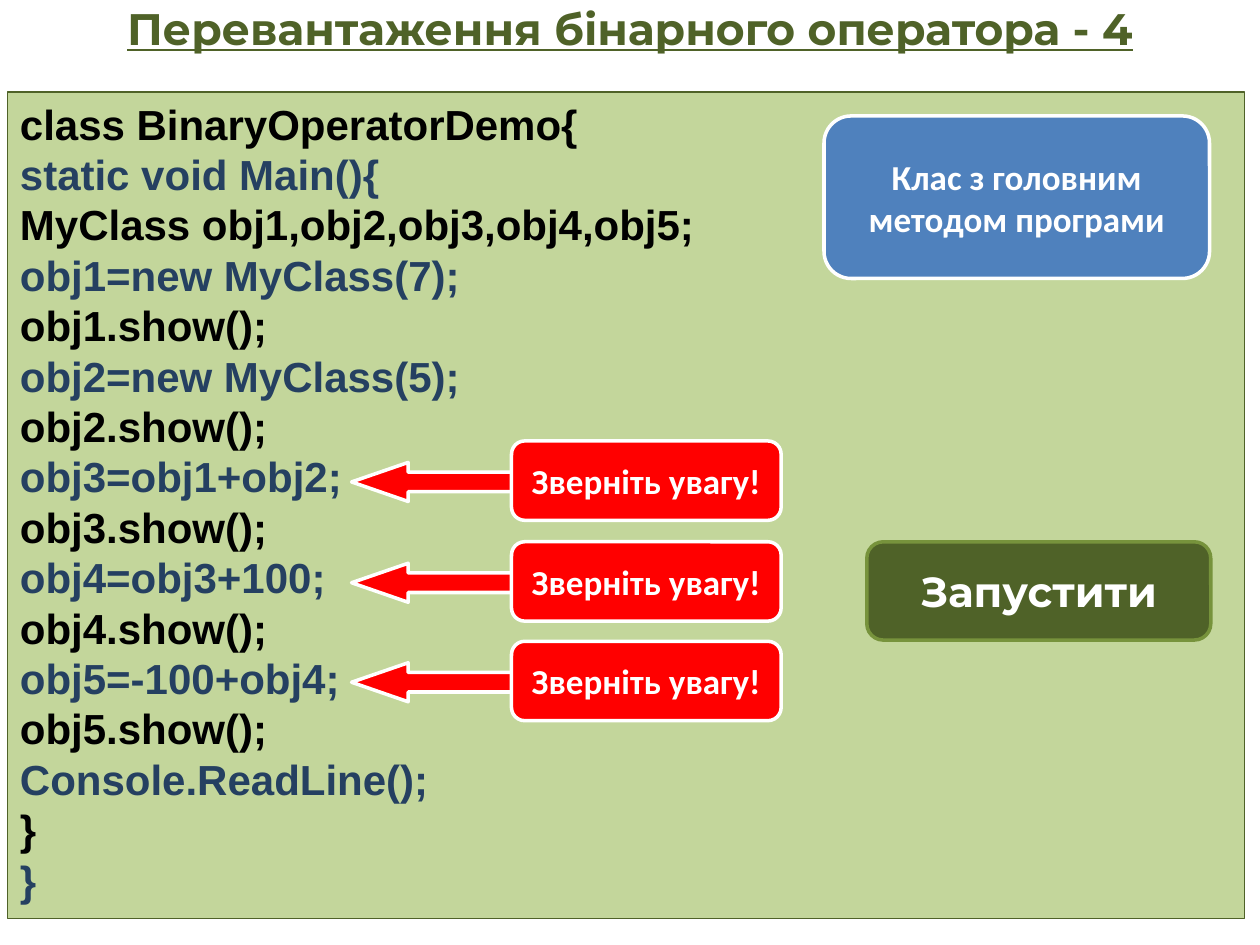
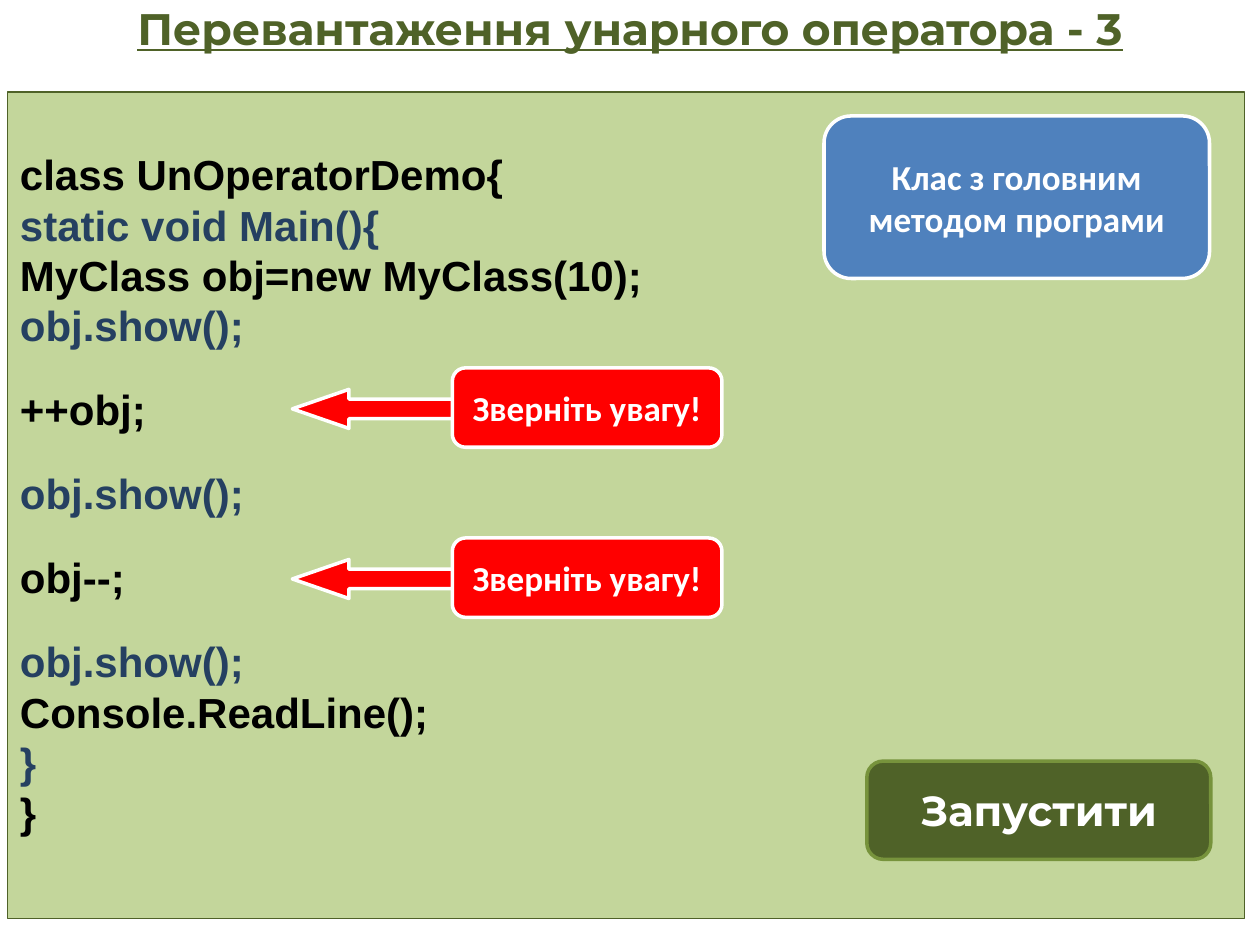
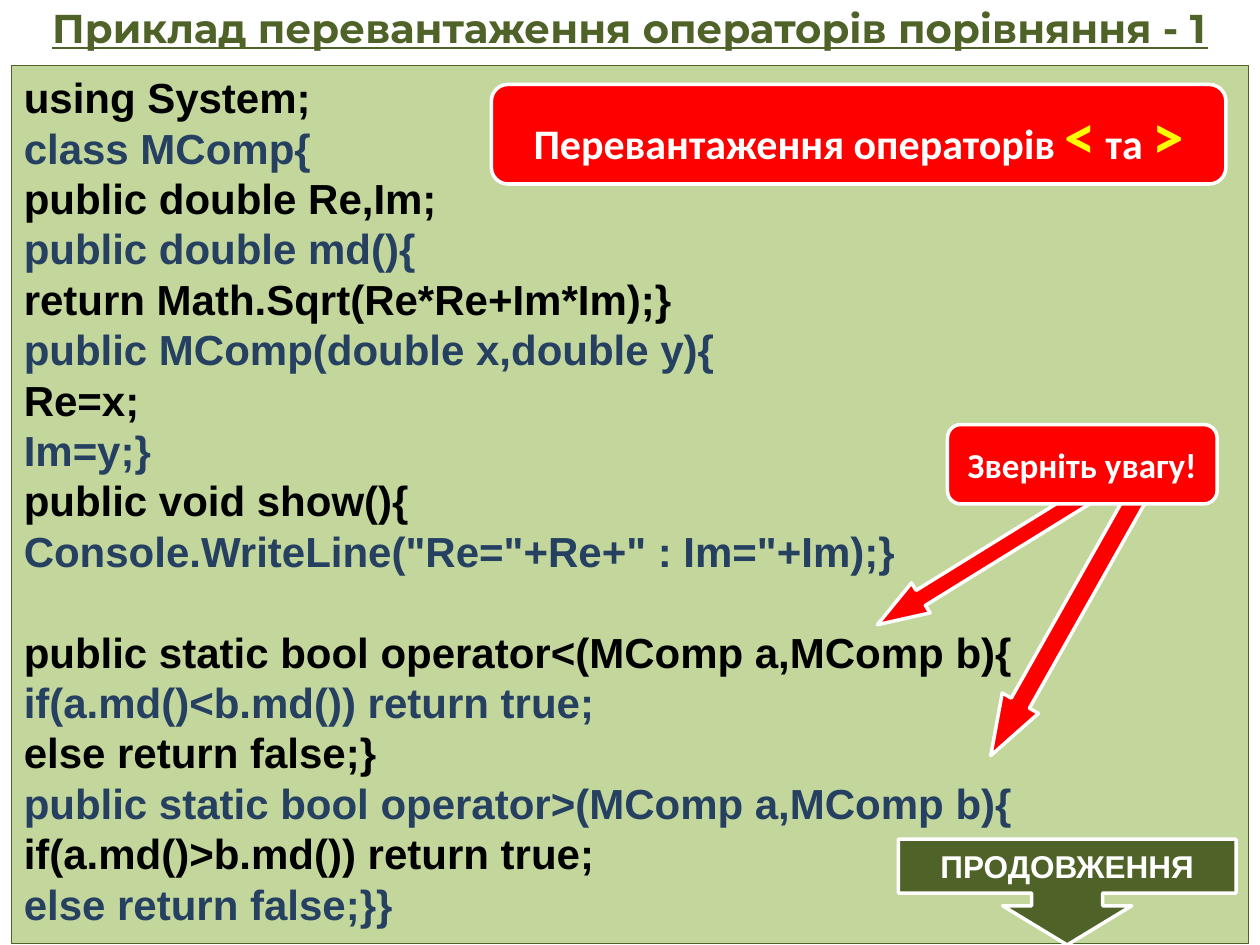
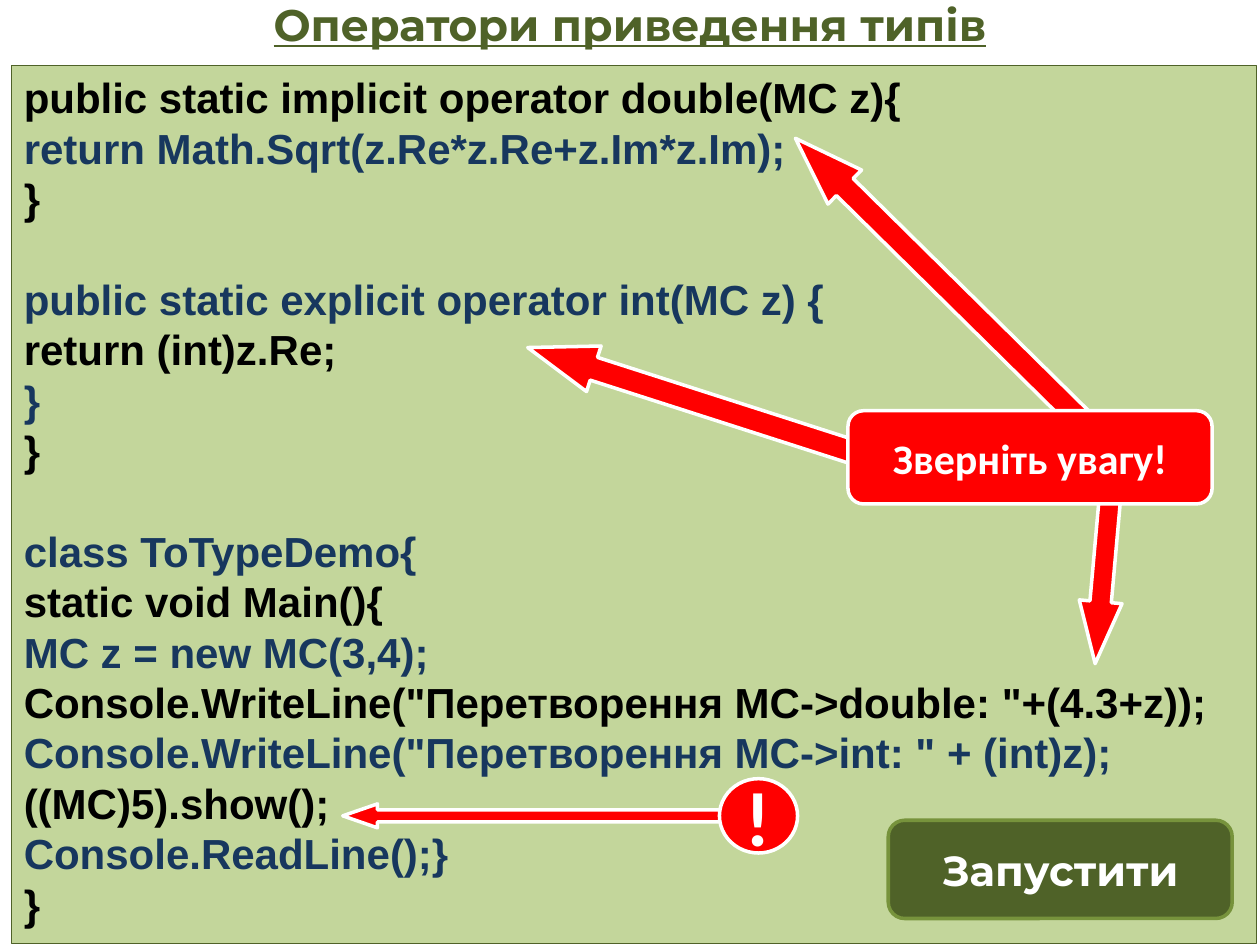
from dataclasses import dataclass

from pptx import Presentation
from pptx.dml.color import RGBColor
from pptx.enum.shapes import MSO_SHAPE
from pptx.enum.text import MSO_ANCHOR, MSO_AUTO_SIZE, PP_ALIGN
from pptx.shapes.autoshape import Shape
from pptx.slide import Slide
from pptx.util import Inches, Pt

COLORS = {
    "olive": "4F6228",
    "olive_line": "77933C",
    "panel": "C3D69B",
    "black": "000000",
    "navy": "254061",
    "deep_navy": "17375E",
    "blue": "4F81BD",
    "red": "FF0000",
    "yellow": "FFFF00",
    "white": "FFFFFF",
}
CODE_FONT, NOTE_FONT, HEADING_FONT = "Arial", "Calibri", "Montserrat"
ATTENTION = "Зверніть увагу!"
LINE_HEIGHT = 1.2


@dataclass(frozen=True)
class Box:
    left: float
    top: float
    width: float
    height: float


@dataclass(frozen=True)
class Label:
    """A filled shape with centred bold text."""
    box: Box
    text: str
    size: float = 20
    fill: str = "red"
    line: str = "white"
    font: str = NOTE_FONT
    kind: MSO_SHAPE = MSO_SHAPE.ROUNDED_RECTANGLE
    adjustments: tuple[float, ...] = ()


@dataclass(frozen=True)
class Arrow:
    box: Box
    rotation: float = 0


@dataclass(frozen=True)
class CodePanel:
    """Code lines in alternating colours; an empty line becomes a gap."""
    box: Box
    code: str
    accent: str = "navy"
    gap_size: float = 24
    top_margin: float = 0.05


# Program listings
BINARY_CODE = """class BinaryOperatorDemo{
static void Main(){
MyClass obj1,obj2,obj3,obj4,obj5;
obj1=new MyClass(7);
obj1.show();
obj2=new MyClass(5);
obj2.show();
obj3=obj1+obj2;
obj3.show();
obj4=obj3+100;
obj4.show();
obj5=-100+obj4;
obj5.show();
Console.ReadLine();
}
}"""

UNARY_CODE = """class UnOperatorDemo{
static void Main(){
MyClass obj=new MyClass(10);
obj.show();

++obj;

obj.show();

obj--;

obj.show();
Console.ReadLine();
}
}"""

COMPARISON_CODE = """using System;
class MComp{
public double Re,Im;
public double md(){
return Math.Sqrt(Re*Re+Im*Im);}
public MComp(double x,double y){
Re=x;
Im=y;}
public void show(){
Console.WriteLine("Re="+Re+" : Im="+Im);}

public static bool operator<(MComp a,MComp b){
if(a.md()<b.md()) return true;
else return false;}
public static bool operator>(MComp a,MComp b){
if(a.md()>b.md()) return true;
else return false;}}"""

CONVERSION_CODE = """public static implicit operator double(MC z){
return Math.Sqrt(z.Re*z.Re+z.Im*z.Im);
}

public static explicit operator int(MC z) {
return (int)z.Re;
}
}

class ToTypeDemo{
static void Main(){
MC z = new MC(3,4);
Console.WriteLine("Перетворення MC->double: "+(4.3+z));
Console.WriteLine("Перетворення MC->int: " + (int)z);
((MC)5).show();
Console.ReadLine();}
}"""


# Drawing helpers
def color(name: str) -> RGBColor:
    return RGBColor.from_string(COLORS[name])


def style_run(run, font: str, size: float, color_name: str) -> None:
    run.font.name = font
    run.font.size = Pt(size)
    run.font.bold = True
    run.font.color.rgb = color(color_name)


def add_filled_shape(slide: Slide, kind: MSO_SHAPE, box: Box, fill: str,
                     line: str, line_width: float = 2) -> Shape:
    shape = slide.shapes.add_shape(kind, Inches(box.left), Inches(box.top),
                                   Inches(box.width), Inches(box.height))
    shape.shadow.inherit = False
    shape.fill.solid()
    shape.fill.fore_color.rgb = color(fill)
    shape.line.color.rgb = color(line)
    shape.line.width = Pt(line_width)
    return shape


def add_title(slide: Slide, text: str, size: float = 25.2, top: float = 0) -> None:
    shape = slide.shapes.add_textbox(0, Inches(top), Inches(10), Inches(0.44))
    text_frame = shape.text_frame
    text_frame.word_wrap = True
    text_frame.vertical_anchor = MSO_ANCHOR.MIDDLE
    text_frame.text = text
    paragraph = text_frame.paragraphs[0]
    paragraph.alignment = PP_ALIGN.CENTER
    style_run(paragraph.runs[0], HEADING_FONT, size, "olive")
    paragraph.runs[0].font.underline = True


def add_code_panel(slide: Slide, panel: CodePanel) -> None:
    shape = add_filled_shape(slide, MSO_SHAPE.RECTANGLE, panel.box,
                             "panel", "olive", 0.75)
    text_frame = shape.text_frame
    text_frame.word_wrap = True
    text_frame.auto_size = MSO_AUTO_SIZE.SHAPE_TO_FIT_TEXT
    text_frame.vertical_anchor = MSO_ANCHOR.TOP
    text_frame.margin_top = Inches(panel.top_margin)

    lines = panel.code.split("\n")
    text_frame.text = "\n".join(line for line in lines if line)
    follows_gap = [not before for before, line in zip([lines[0]] + lines, lines)
                   if line]
    for index, paragraph in enumerate(text_frame.paragraphs):
        paragraph.alignment = PP_ALIGN.LEFT
        if follows_gap[index]:
            paragraph.space_before = Pt(panel.gap_size * LINE_HEIGHT)
        style_run(paragraph.runs[0], CODE_FONT, 24,
                  panel.accent if index % 2 else "black")


def add_label(slide: Slide, label: Label) -> Shape:
    shape = add_filled_shape(slide, label.kind, label.box, label.fill, label.line)
    for index, value in enumerate(label.adjustments):
        shape.adjustments[index] = value
    text_frame = shape.text_frame
    text_frame.word_wrap = True
    text_frame.vertical_anchor = MSO_ANCHOR.MIDDLE
    text_frame.text = label.text
    paragraph = text_frame.paragraphs[0]
    paragraph.alignment = PP_ALIGN.CENTER
    for run in paragraph.runs:
        style_run(run, label.font, label.size, "white")
    return shape


def add_arrow(slide: Slide, arrow: Arrow) -> None:
    shape = add_filled_shape(slide, MSO_SHAPE.LEFT_ARROW, arrow.box, "red", "white")
    shape.adjustments[0] = 0.5
    shape.adjustments[1] = 1.45
    shape.rotation = arrow.rotation


def add_run_button(slide: Slide, left: float, top: float) -> None:
    add_label(slide, Label(Box(left, top, 2.73, 0.78), "Запустити", 24,
                           "olive", "olive_line", HEADING_FONT))


def add_main_class_note(slide: Slide) -> None:
    add_label(slide, Label(Box(6.54, 0.92, 3.06, 1.29),
                           "Клас з головним методом програми", fill="blue"))


def add_attention(slide: Slide, left: float, top: float) -> None:
    add_label(slide, Label(Box(left, top, 2.14, 0.63), ATTENTION))


def add_pointing_note(slide: Slide, left: float, top: float) -> None:
    """An attention note with its arrow to the left."""
    add_arrow(slide, Arrow(Box(left - 1.27, top + 0.17, 1.59, 0.31)))
    add_attention(slide, left, top)


# Slides
def build_main_class_slide(slide: Slide, title: str, panel: CodePanel,
                           button_top: float, note_left: float,
                           note_tops: tuple[float, ...]) -> None:
    add_title(slide, title)
    add_code_panel(slide, panel)
    add_run_button(slide, 6.88, button_top)
    add_main_class_note(slide)
    for top in note_tops:
        add_pointing_note(slide, note_left, top)


def build_comparison_slide(slide: Slide) -> None:
    add_title(slide, "Приклад перевантаження операторів порівняння - 1", 23)
    add_code_panel(slide, CodePanel(Box(0.09, 0.52, 9.82, 6.97), COMPARISON_CODE))
    add_arrow(slide, Arrow(Box(6.81, 4.28, 2.05, 0.28), 328.3))
    add_arrow(slide, Arrow(Box(7.26, 4.8, 2.37, 0.33), 299.4))
    add_attention(slide, 7.52, 3.37)

    # Heading note with highlighted operators
    heading = add_label(slide, Label(Box(3.9, 0.67, 5.83, 0.79),
                                     "Перевантаження операторів ", 24))
    paragraph = heading.text_frame.paragraphs[0]
    for text, size, color_name in (("<", 36, "yellow"), (" та ", 24, "white"),
                                   (">", 36, "yellow")):
        run = paragraph.add_run()
        run.text = text
        style_run(run, NOTE_FONT, size, color_name)

    add_label(slide, Label(Box(7.13, 6.66, 2.68, 0.84), "ПРОДОВЖЕННЯ", 18,
                           "olive", font=CODE_FONT,
                           kind=MSO_SHAPE.DOWN_ARROW_CALLOUT,
                           adjustments=(0.67, 0.61, 0.37, 0.51)))


def build_conversion_slide(slide: Slide) -> None:
    add_title(slide, "Оператори приведення типів", top=-0.03)
    add_code_panel(slide, CodePanel(Box(0.09, 0.52, 9.88, 6.97),
                                    CONVERSION_CODE, "deep_navy"))
    add_run_button(slide, 7.05, 6.51)
    for arrow in (Arrow(Box(5.84, 2.06, 3.28, 0.38), 44.6),
                  Arrow(Box(4.11, 3.07, 3.28, 0.38), 17.8),
                  Arrow(Box(7.89, 4.22, 1.76, 0.34), 275.1)):
        add_arrow(slide, arrow)
    add_label(slide, Label(Box(6.73, 3.26, 2.89, 0.74), ATTENTION, 24))
    add_arrow(slide, Arrow(Box(2.72, 6.38, 3.28, 0.19)))
    add_label(slide, Label(Box(5.71, 6.18, 0.62, 0.59), "!", 44,
                           kind=MSO_SHAPE.OVAL))


def main() -> None:
    presentation = Presentation()
    presentation.slide_width = Inches(10)
    presentation.slide_height = Inches(7.5)
    blank_layout = presentation.slide_layouts[6]
    binary, unary, comparison, conversion = (
        presentation.slides.add_slide(blank_layout) for _ in range(4))

    main_class_box = Box(0.06, 0.73, 9.82, 6.56)
    build_main_class_slide(binary, "Перевантаження бінарного оператора - 4",
                           CodePanel(main_class_box, BINARY_CODE),
                           4.3, 4.06, (3.5, 4.3, 5.09))
    build_main_class_slide(unary, "Перевантаження унарного оператора - 3",
                           CodePanel(main_class_box, UNARY_CODE, gap_size=16,
                                     top_margin=0.45),
                           6.04, 3.59, (2.92, 4.27))
    build_comparison_slide(comparison)
    build_conversion_slide(conversion)
    presentation.save("out.pptx")


if __name__ == "__main__":
    main()
